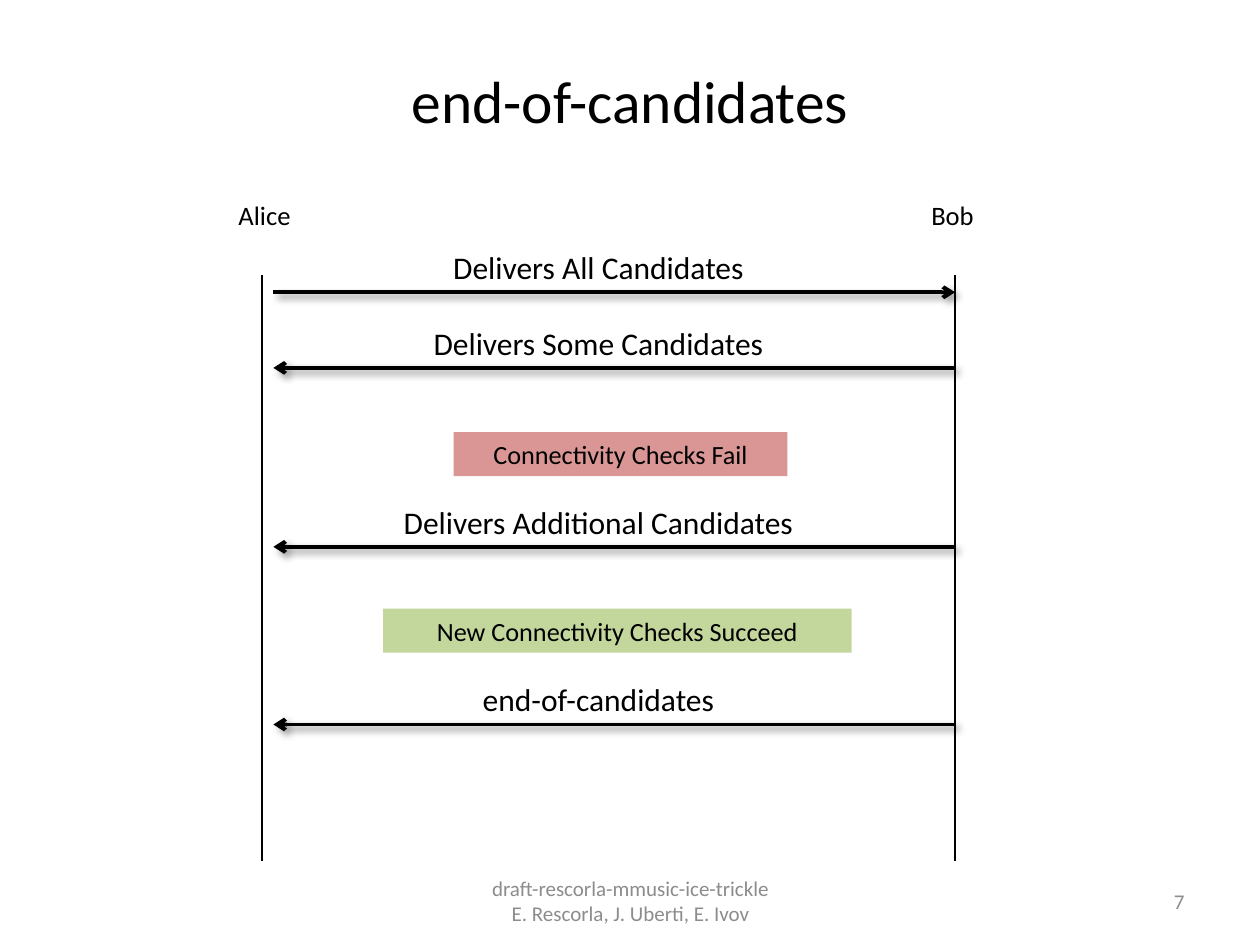
import dataclasses

import pptx
import pptx.dml.color
import pptx.enum.shapes
import pptx.enum.text
import pptx.oxml
import pptx.oxml.ns
import pptx.util
from pptx.util import Inches

ALIGN = pptx.enum.text.PP_ALIGN
ANCHOR = pptx.enum.text.MSO_ANCHOR


@dataclasses.dataclass(frozen=True)
class Theme:
    font: str = "Calibri"
    ink: str = "000000"
    muted: str = "8C8C8C"
    failure: str = "D99694"
    success: str = "C3D69B"
    title_size: float = 34
    message_size: float = 18
    party_size: float = 15.2
    outcome_size: float = 15
    footer_size: float = 12
    lifeline_width: float = 1.5
    arrow_width: float = 2.25


def rgb(value):
    return pptx.dml.color.RGBColor.from_string(value)


def write_text(frame, text, *, font, size, color, align=ALIGN.CENTER,
               anchor=ANCHOR.TOP, line_spacing=None):
    frame.word_wrap = True
    frame.vertical_anchor = anchor
    paragraph = frame.paragraphs[0]
    paragraph.text = text
    paragraph.alignment = align
    if line_spacing:
        paragraph.line_spacing = line_spacing
    for run in paragraph.runs:
        run.font.name = font
        run.font.size = pptx.util.Pt(size)
        run.font.color.rgb = rgb(color)


class SequenceSlide:
    def __init__(self, slide, theme):
        self.slide = slide
        self.theme = theme

    def text(self, text, left, top, width, height, size, color=None, **options):
        box = self.slide.shapes.add_textbox(
            Inches(left), Inches(top), Inches(width), Inches(height))
        write_text(box.text_frame, text, font=self.theme.font, size=size,
                   color=color or self.theme.ink, **options)

    def outcome(self, text, left, top, width, height, fill):
        bar = self.slide.shapes.add_shape(
            pptx.enum.shapes.MSO_SHAPE.RECTANGLE,
            Inches(left), Inches(top), Inches(width), Inches(height))
        bar.shadow.inherit = False
        bar.fill.solid()
        bar.fill.fore_color.rgb = rgb(fill)
        bar.line.fill.background()
        write_text(bar.text_frame, text, font=self.theme.font,
                   size=self.theme.outcome_size, color=self.theme.ink)

    def line(self, start, end, width):
        line = self.slide.shapes.add_connector(
            pptx.enum.shapes.MSO_CONNECTOR.STRAIGHT,
            *(Inches(value) for value in (*start, *end)))
        line.line.color.rgb = rgb(self.theme.ink)
        line.line.width = pptx.util.Pt(width)
        effects = pptx.oxml.parse_xml(
            f"<a:effectLst {pptx.oxml.ns.nsdecls('a')}/>")
        line._element.spPr.append(effects)
        return line, effects

    def arrow(self, start, end):
        arrow, effects = self.line(start, end, self.theme.arrow_width)
        namespace = pptx.oxml.ns.nsdecls("a")
        arrow.line._get_or_add_ln().append(pptx.oxml.parse_xml(
            f'<a:tailEnd {namespace} type="arrow"/>'))
        effects.append(pptx.oxml.parse_xml(
            f'<a:outerShdw {namespace} blurRad="{pptx.util.Pt(4)}" '
            f'dist="{pptx.util.Pt(3)}" dir="2700000" rotWithShape="0">'
            f'<a:srgbClr val="{self.theme.ink}"><a:alpha val="40000"/>'
            f'</a:srgbClr></a:outerShdw>'))

    def message(self, text, y, start_x, end_x):
        self.arrow((start_x, y), (end_x, y))
        self.text(text, 2.25, y - 0.4, 5, 0.4, self.theme.message_size)


def main():
    theme = Theme()
    deck = pptx.Presentation()
    deck.slide_width, deck.slide_height = Inches(10), Inches(7.5)
    page = SequenceSlide(deck.slides.add_slide(deck.slide_layouts[6]), theme)

    # Title and footer
    page.text("end-of-candidates", 0.5, 0.17, 9, 1.25, theme.title_size,
              anchor=ANCHOR.MIDDLE)
    page.text("draft-rescorla-mmusic-ice-trickle\nE. Rescorla, J. Uberti, E. Ivov",
              3.42, 6.95, 3.17, 0.4, theme.footer_size, theme.muted,
              anchor=ANCHOR.MIDDLE)
    page.text("7", 7.17, 6.95, 2.33, 0.4, theme.footer_size, theme.muted,
              align=ALIGN.RIGHT, anchor=ANCHOR.MIDDLE)

    # Parties and their lifelines
    alice_x, bob_x = 2.08, 7.58
    for party, x, label_left in (("Alice", alice_x, 1.58), ("Bob", bob_x, 7.04)):
        page.line((x, 6.83), (x, 2.18), theme.lifeline_width)
        page.text(party, label_left, 1.58, 1.04, 0.33, theme.party_size,
                  line_spacing=0.8)

    # Messages
    alice_end = 2.17
    page.message("Delivers All Candidates", 2.32, alice_end, bob_x)
    for reply, y in (("Delivers Some Candidates", 2.92),
                     ("Delivers Additional Candidates", 4.34),
                     ("end-of-candidates", 5.75)):
        page.message(reply, y, bob_x, alice_end)

    # Outcomes of the connectivity checks
    page.outcome("Connectivity Checks Fail", 3.6, 3.43, 2.65, 0.35, theme.failure)
    page.outcome("New Connectivity Checks Succeed", 3.04, 4.83, 3.72, 0.35,
                 theme.success)

    deck.save("out.pptx")


if __name__ == "__main__":
    main()
